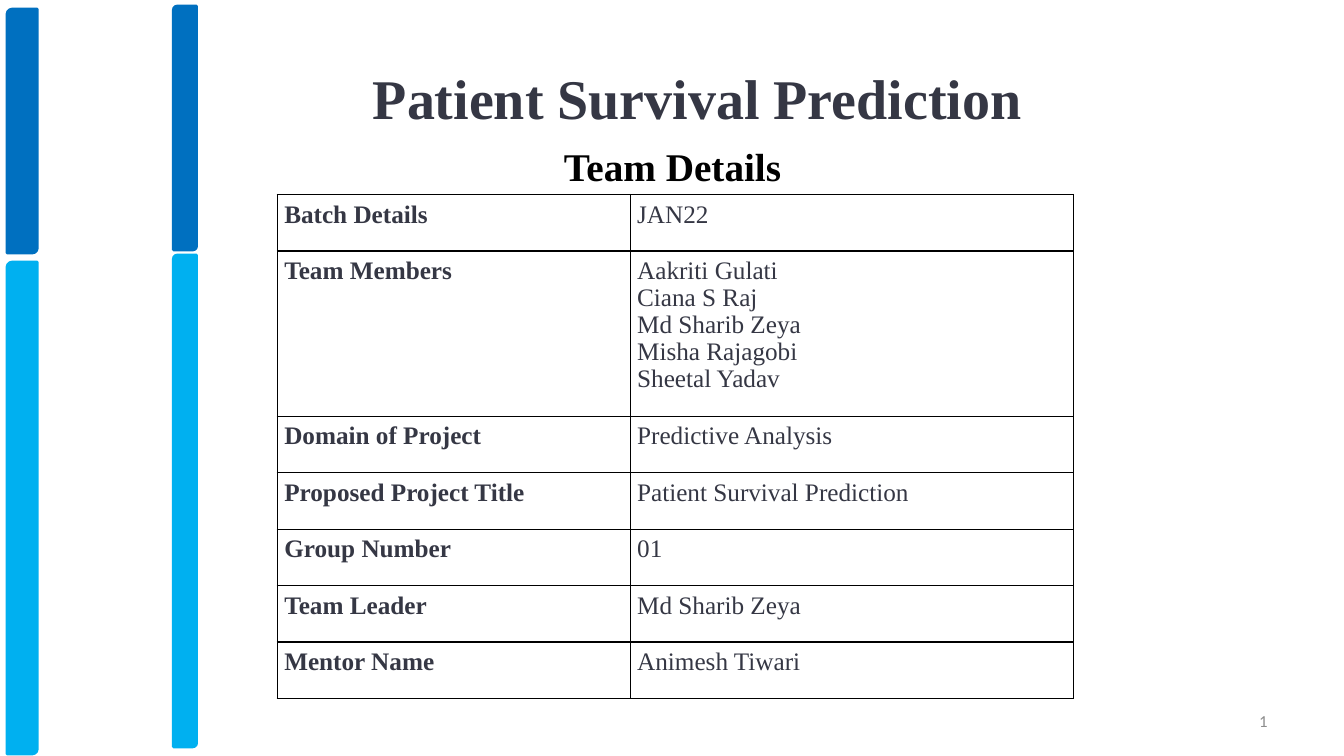
from lxml import etree
from pptx import Presentation
from pptx.dml.color import RGBColor
from pptx.enum.shapes import MSO_SHAPE
from pptx.enum.text import MSO_ANCHOR, PP_ALIGN
from pptx.oxml import parse_xml
from pptx.oxml.ns import nsdecls, qn
from pptx.util import Inches, Pt

BAR_SHAPE = MSO_SHAPE.ROUND_2_DIAG_RECTANGLE
CENTER, RIGHT = PP_ALIGN.CENTER, PP_ALIGN.RIGHT
TOP, MIDDLE = MSO_ANCHOR.TOP, MSO_ANCHOR.MIDDLE
SERIF, SANS = "Times New Roman", "Calibri"
DARK, BLACK, GREY = "353744", "000000", "8C8C8C"
BLUE, SKY = "0070C0", "00B0F0"
UPPER_BAR, LOWER_BAR = 2.42, 4.88

DETAILS = [
    ("Batch Details", "JAN22"),
    ("Team Members", "Aakriti Gulati\nCiana S Raj\nMd Sharib Zeya\n"
                     "Misha Rajagobi\nSheetal Yadav"),
    ("Domain of Project", "Predictive Analysis"),
    ("Proposed Project Title", "Patient Survival Prediction"),
    ("Group Number", "01"),
    ("Team Leader", "Md Sharib Zeya"),
    ("Mentor Name", "Animesh Tiwari"),
]


def color(value):
    return RGBColor.from_string(value)


def style_font(font, size, shade, name=SERIF, bold=False):
    font.size, font.name, font.bold = Pt(size), name, bold
    font.color.rgb = color(shade)


def add_bars(page, left, top, width, gap):
    """Stack a short dark bar on a long light one."""
    lower_top = top + UPPER_BAR + gap
    for y, height, shade in ((top, UPPER_BAR, BLUE), (lower_top, LOWER_BAR, SKY)):
        bar = page.shapes.add_shape(
            BAR_SHAPE, Inches(left), Inches(y), Inches(width), Inches(height))
        bar.shadow.inherit = False
        bar.fill.solid()
        bar.fill.fore_color.rgb = color(shade)
        bar.line.color.rgb = color(shade)
        bar.line.width = Pt(2)


def fill_heading(shape, box, text, size, shade):
    """Place a centred bold heading in its box."""
    shape.left, shape.top, shape.width, shape.height = map(Inches, box)
    frame = shape.text_frame
    frame.word_wrap = True
    frame.vertical_anchor = TOP
    frame.text = text
    para = frame.paragraphs[0]
    para.alignment = CENTER
    para.line_spacing = 1.0
    para.space_before = Pt(0)
    style_font(para.runs[0].font, size, shade, bold=True)


def set_borders(cell):
    properties = cell._tc.get_or_add_tcPr()
    for position, side in enumerate(("lnL", "lnR", "lnT", "lnB")):
        properties.insert(position, parse_xml(
            f'<a:{side} {nsdecls("a")} w="12700"><a:solidFill>'
            f'<a:srgbClr val="{BLACK}"/></a:solidFill></a:{side}>'))


def fill_cell(cell, text, bold):
    cell.fill.background()
    cell.margin_left = cell.margin_right = Inches(0.07)
    cell.margin_top = cell.margin_bottom = Inches(0.07)
    cell.text_frame.text = text
    for para in cell.text_frame.paragraphs:
        para.line_spacing = 0.97
        style_font(para.runs[0].font, 18, DARK, bold=bold)
    set_borders(cell)


def add_details(page, left, top, widths, row_height, members_height):
    """Draw the team table: bold labels beside plain values."""
    heights = [members_height if "\n" in value else row_height
               for _, value in DETAILS]
    table = page.shapes.add_table(
        len(DETAILS), len(widths), Inches(left), Inches(top),
        Inches(sum(widths)), Inches(sum(heights))).table
    table.first_row = table.horz_banding = False
    for column, width in zip(table.columns, widths):
        column.width = Inches(width)
    for index, (entry, height) in enumerate(zip(DETAILS, heights)):
        table.rows[index].height = Inches(height)
        for column, text in enumerate(entry):
            fill_cell(table.cell(index, column), text, bold=column == 0)


def add_page_number(page, box):
    """Place the slide number as a live field."""
    frame = page.shapes.add_textbox(*map(Inches, box)).text_frame
    frame.word_wrap = True
    frame.vertical_anchor = MIDDLE
    para = frame.paragraphs[0]
    para.text = "1"
    para.alignment = RIGHT
    span = para.runs[0]
    style_font(span.font, 12, GREY, SANS)
    field = etree.SubElement(para._p, qn("a:fld"), type="slidenum",
                             id="{B6F15528-21DE-4FAA-801E-634DDDAF4B2B}")
    field.extend(list(span._r))
    para._p.remove(span._r)


def build_team_slide(deck):
    page = deck.slides.add_slide(deck.slide_layouts[5])
    # Side bars
    add_bars(page, 0.07, 0.09, 0.3, gap=0.09)
    add_bars(page, 1.72, 0.06, 0.23, gap=0.05)
    # Headings
    fill_heading(page.shapes.title, (2.5, 0.58, 8.83, 0.77),
                 "Patient Survival Prediction", 40, DARK)
    subtitle = page.shapes.add_textbox(0, 0, 0, 0)
    fill_heading(subtitle, (2.28, 1.36, 8.78, 0.57), "Team Details", 28, BLACK)
    # Table and page number
    add_details(page, 2.75, 1.93, (3.5, 4.4), 0.56, 1.64)
    add_page_number(page, (9.56, 6.95, 3.11, 0.4))


def main():
    deck = Presentation()
    deck.slide_width, deck.slide_height = Inches(13.33), Inches(7.5)
    build_team_slide(deck)
    deck.save("out.pptx")


if __name__ == "__main__":
    main()
